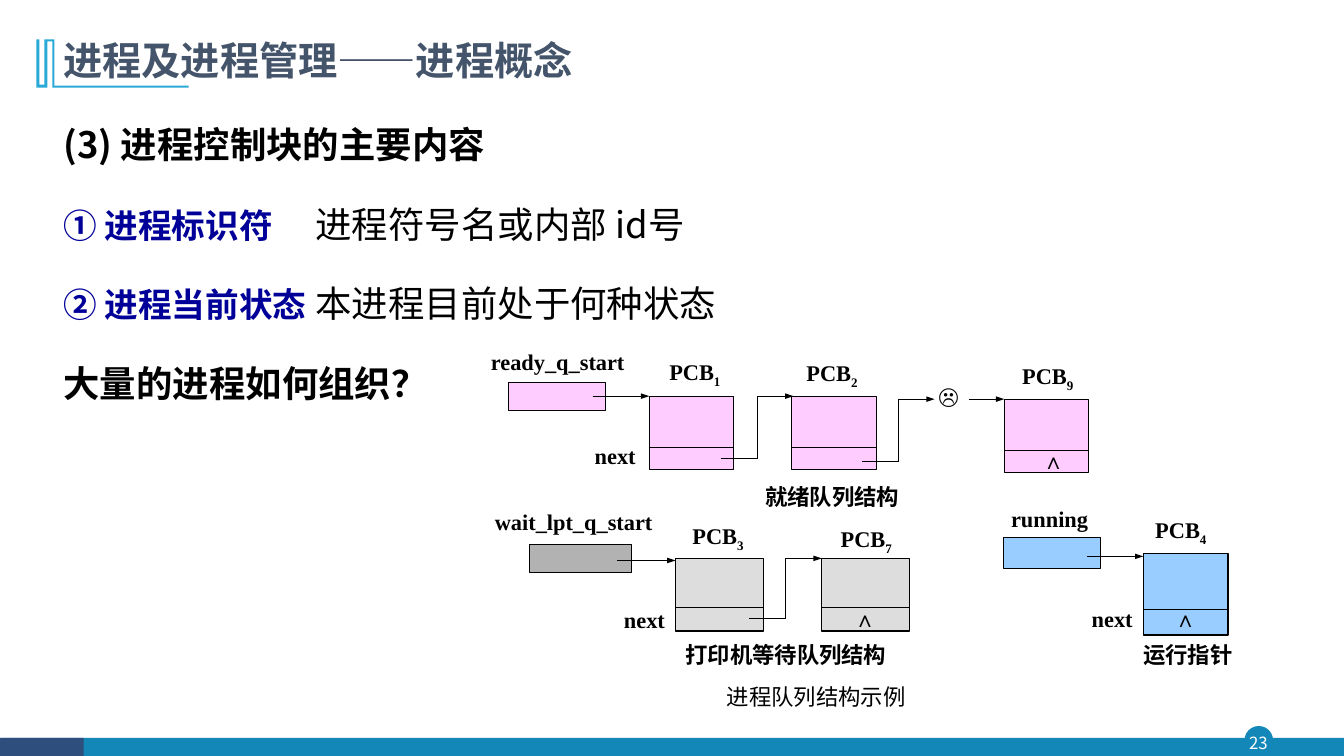
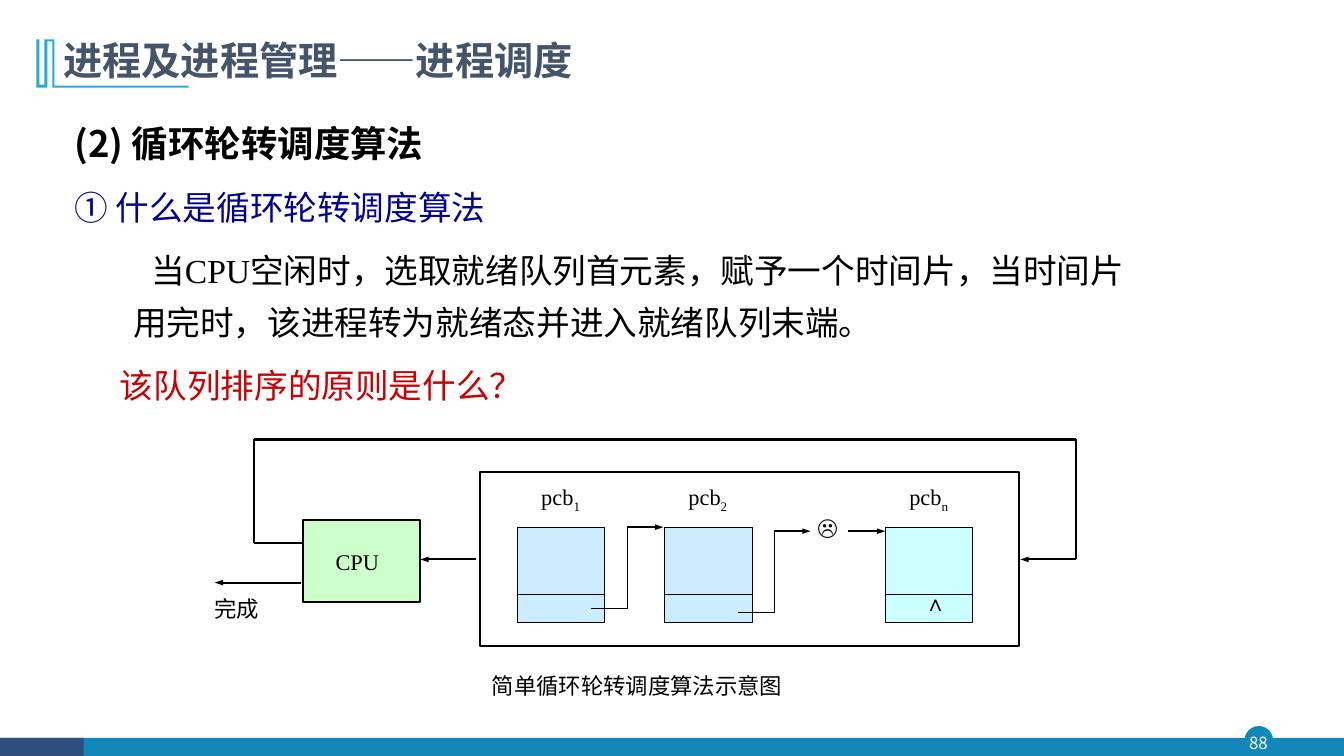
import lxml.etree
import pptx
import pptx.dml.color
import pptx.enum.shapes
import pptx.enum.text
import pptx.oxml.ns
import pptx.util

Inches = pptx.util.Inches
Pt = pptx.util.Pt
qn = pptx.oxml.ns.qn
RECT = pptx.enum.shapes.MSO_SHAPE.RECTANGLE
OVAL = pptx.enum.shapes.MSO_SHAPE.OVAL
STRAIGHT = pptx.enum.shapes.MSO_CONNECTOR.STRAIGHT
ALIGN = pptx.enum.text.PP_ALIGN
MIDDLE = pptx.enum.text.MSO_ANCHOR.MIDDLE
TOP = pptx.enum.text.MSO_ANCHOR.TOP
NO_FIT = pptx.enum.text.MSO_AUTO_SIZE.NONE

SANS = "Noto Sans CJK SC"
SERIF = "Times New Roman"
COLORS = {
    "black": "000000", "white": "FFFFFF", "title": "44546A",
    "band": "1387B7", "band_dark": "2E4E7E", "bracket": "28A9D6",
    "topic": "000099", "question": "CC0000",
    "ready": "FFCCFF", "wait_start": "B2B2B2", "wait": "DDDDDD",
    "running": "99CCFF", "cpu": "CCFFCC", "cell": "CCECFF", "last_cell": "CCFFFF",
}
BRACKET = [(0.54, 0.39), (0.54, 0.85), (1.87, 0.85), (1.87, 0.87), (0.52, 0.87),
           (0.52, 0.41), (0.47, 0.41), (0.47, 0.87), (0.36, 0.87), (0.36, 0.39),
           (0.39, 0.39), (0.39, 0.84), (0.44, 0.84), (0.44, 0.39)]


def rgb(name):
    return pptx.dml.color.RGBColor.from_string(COLORS[name])


# Text
def write(paragraph, text, size=16, font=SERIF, color="black", bold=False, sub=False):
    run = paragraph.add_run()
    run.text = text
    run.font.size = Pt(size)
    run.font.bold = bold
    run.font.color.rgb = rgb(color)
    run.font.name = font
    properties = run._r.get_or_add_rPr()
    lxml.etree.SubElement(properties, qn("a:ea")).set("typeface", SANS)
    if sub:
        properties.set("baseline", "-25000")


def label(slide, left, top, text, width=1.0, height=0.37, sub=None, **style):
    frame = slide.shapes.add_textbox(
        Inches(left), Inches(top), Inches(width), Inches(height)).text_frame
    frame.word_wrap = True
    frame.margin_right = 0
    frame.vertical_anchor = MIDDLE
    write(frame.paragraphs[0], text, **style)
    if sub:
        write(frame.paragraphs[0], sub, sub=True, **style)
    return frame


def body_paragraph(frame, runs, spacing, before, indent=(0, 0), tab=None,
                   align=ALIGN.LEFT):
    """Add one line of body text; runs are (text, format) pairs."""
    first = not frame.paragraphs[0].runs
    paragraph = frame.paragraphs[0] if first else frame.add_paragraph()
    properties = paragraph._p.get_or_add_pPr()
    properties.set("marL", str(Inches(indent[0])))
    properties.set("indent", str(Inches(indent[1])))
    lxml.etree.SubElement(properties, qn("a:buNone"))
    if tab:
        tabs = lxml.etree.SubElement(properties, qn("a:tabLst"))
        lxml.etree.SubElement(tabs, qn("a:tab"), pos=str(Inches(tab)), algn="l")
    paragraph.alignment = align
    paragraph.line_spacing = Pt(spacing)
    paragraph.space_before = Pt(0 if first else before)
    for text, style in runs:
        write(paragraph, text, **style)


def place(placeholder, left, top, width, height, anchor):
    placeholder.left, placeholder.top = Inches(left), Inches(top)
    placeholder.width, placeholder.height = Inches(width), Inches(height)
    frame = placeholder.text_frame
    frame.word_wrap = True
    frame.auto_size = NO_FIT
    frame.vertical_anchor = anchor
    return frame


# Shapes and lines
def block(slide, left, top, width, height, fill=None, line="black", weight=0.75,
          kind=RECT):
    shape = slide.shapes.add_shape(
        kind, Inches(left), Inches(top), Inches(width), Inches(height))
    shape.shadow.inherit = False
    if fill:
        shape.fill.solid()
        shape.fill.fore_color.rgb = rgb(fill)
    else:
        shape.fill.background()
    if line:
        shape.line.color.rgb = rgb(line)
        shape.line.width = Pt(weight)
    else:
        shape.line.fill.background()


def stroke(slide, x1, y1, x2, y2, weight=0.75, arrow=False):
    connector = slide.shapes.add_connector(
        STRAIGHT, Inches(x1), Inches(y1), Inches(x2), Inches(y2))
    connector.line.color.rgb = rgb("black")
    connector.line.width = Pt(weight)
    properties = connector.element.spPr
    if arrow:
        lxml.etree.SubElement(properties.find(qn("a:ln")), qn("a:tailEnd"),
                              type="triangle", w="sm", len="med")
    lxml.etree.SubElement(properties, qn("a:effectLst"))


def next_link(slide, left, bottom, top, step=0.36, weight=0.75):
    """Step right, up and right again, ending in an arrow."""
    middle = left + step
    stroke(slide, left, bottom, middle, bottom)
    stroke(slide, middle, bottom, middle, top)
    stroke(slide, middle, top, middle + step, top, weight, arrow=True)


def control_block(slide, left, top, width, height, split, fill, name, number,
                  name_at=(0.08, -0.4), end_at=None, bold=True):
    """Draw a control block; offsets count from its top left corner."""
    block(slide, left, top, width, height, fill)
    stroke(slide, left, top + split, left + width, top + split)
    label(slide, left + name_at[0], top + name_at[1], name, sub=number, bold=bold)
    if end_at:
        label(slide, left + end_at[0], top + end_at[1], "∧", width=0.5, bold=bold)


# Parts shared by the slides
def base_slide(deck, title, page):
    slide = deck.slides.add_slide(deck.slide_layouts[1])
    block(slide, 12.35, 7.21, 0.27, 0.27, "band", "band", 1, OVAL)
    block(slide, 0.01, 7.32, 13.32, 0.19, "band", None)
    block(slide, 0, 7.32, 0.83, 0.19, "band_dark", None)
    number = label(slide, 12.32, 7.21, page, 0.32, 0.31, size=12, font=SANS,
                   color="white")
    number.margin_left = number.margin_top = number.margin_bottom = 0
    number.paragraphs[0].alignment = ALIGN.CENTER

    points = [(Inches(x), Inches(y)) for x, y in BRACKET]
    outline = slide.shapes.build_freeform(*points[0])
    outline.add_line_segments(points[1:], close=True)
    bracket = outline.convert_to_shape()
    bracket.shadow.inherit = False
    bracket.fill.solid()
    bracket.fill.fore_color.rgb = rgb("bracket")
    bracket.line.fill.background()

    heading = place(slide.shapes.title, 0.53, 0.34, 10.49, 0.56, MIDDLE).paragraphs[0]
    heading.alignment = ALIGN.LEFT
    heading.line_spacing = 0.9
    write(heading, title, size=28, font=SANS, color="title", bold=True)
    return slide


# Queues of the first slide
def ready_queue(slide, left, top):
    cell = {"width": 0.84, "height": 0.73, "split": 0.51, "fill": "ready", "name": "PCB"}
    first, second, last = left + 1.67, left + 3.08, left + 5.19
    row = top + 0.53
    label(slide, left, top, "ready_q_start", 1.55, bold=True)
    block(slide, left + 0.27, top + 0.39, 0.97, 0.28, "ready")
    stroke(slide, left + 1.11, row, first, row, arrow=True)
    control_block(slide, first, row, number="1", name_at=(0.1, -0.41), **cell)
    control_block(slide, second, row, number="2", name_at=(0.05, -0.4), **cell)
    control_block(slide, last, row + 0.03, number="9", end_at=(0.28, 0.42), **cell)
    next_link(slide, first + 0.71, row + 0.62, row)
    next_link(slide, second + 0.7, row + 0.65, row + 0.03)
    label(slide, left + 4.44, top + 0.34, "☹", 0.5)
    stroke(slide, last - 0.35, row + 0.03, last, row + 0.03, arrow=True)
    label(slide, left + 1.03, top + 0.93, "next", bold=True)
    label(slide, left + 2.72, top + 1.34, "就绪队列结构", 1.97, bold=True)


def printer_queue(slide, left, top):
    cell = {"width": 0.87, "height": 0.72, "split": 0.49, "fill": "wait", "name": "PCB"}
    first, last, row = left + 1.89, left + 3.34, top + 0.55
    label(slide, left, top, "wait_lpt_q_start", 1.89, bold=True)
    block(slide, left + 0.44, top + 0.41, 1.01, 0.28, "wait_start")
    stroke(slide, left + 1.31, row + 0.02, first, row + 0.02, arrow=True)
    control_block(slide, first, row, number="3", name_at=(0.07, -0.39), **cell)
    control_block(slide, last, row, number="7", name_at=(0.09, -0.36),
                  end_at=(0.22, 0.41), **cell)
    next_link(slide, first + 0.73, row + 0.6, row)
    label(slide, left + 1.28, top + 0.97, "next", bold=True)
    label(slide, left + 1.89, top + 1.32, "打印机等待队列结构", 2.47, bold=True)


def running_pointer(slide, left, top):
    target, row = left + 1.41, top + 0.53
    label(slide, left, top, "running", 1.11, bold=True)
    block(slide, left + 0.02, top + 0.37, 0.97, 0.31, "running")
    stroke(slide, left + 0.85, row + 0.03, target, row + 0.03, arrow=True)
    control_block(slide, target, row, 0.84, 0.81, 0.56, "running", "PCB", "4",
                  name_at=(0.02, -0.4), end_at=(0.21, 0.46))
    label(slide, left + 0.8, top + 0.99, "next", bold=True)
    label(slide, left + 1.31, top + 1.35, "运行指针", 1.24, bold=True)


# Scheduling diagram of the second slide
def round_robin(slide, left, top):
    """Draw the loop around the processor and the queue."""
    right, cpu, queue = left + 8.64, left + 0.98, left + 2.73
    loop_left, entry = left + 0.49, top + 1.19

    # Queue and its control blocks
    block(slide, queue, top + 0.32, 5.35, 1.73, weight=1.5)
    row = top + 0.87
    cells = [(0.37, "1", "cell", None), (1.83, "2", "cell", None),
             (4.02, "n", "last_cell", (0.29, 0.56))]
    for offset, number, fill, end_at in cells:
        control_block(slide, queue + offset, row, 0.87, 0.95, 0.67, fill, "pcb",
                      number, name_at=(0.14, -0.47), end_at=end_at, bold=False)
    next_link(slide, queue + 1.1, row + 0.81, row, weight=1.5)
    next_link(slide, queue + 2.56, row + 0.85, row + 0.04, weight=1.5)
    label(slide, queue + 3.25, top + 0.68, "☹", 0.5)
    stroke(slide, queue + 3.65, row + 0.04, queue + 4.02, row + 0.04, 1.5, arrow=True)

    # Processor, its exit and the way back
    block(slide, cpu, top + 0.8, 1.16, 0.81, "cpu", weight=1.5)
    label(slide, cpu + 0.22, top + 1.03, "CPU")
    stroke(slide, queue - 0.04, entry, cpu + 1.16, entry, 1.5, arrow=True)
    stroke(slide, cpu, top + 1.03, loop_left, top + 1.03, 1.5)
    stroke(slide, loop_left, top + 1.03, loop_left, top, 1.5)
    stroke(slide, loop_left, top, right, top, 1.5)
    stroke(slide, right, top, right, entry, 1.5)
    stroke(slide, right, entry, queue + 5.36, entry, 1.5, arrow=True)
    stroke(slide, cpu - 0.02, top + 1.42, left + 0.1, top + 1.42, 1.5, arrow=True)
    label(slide, left, top + 1.49, "完成")


# Slides
def control_block_slide(deck):
    slide = base_slide(deck, "进程及进程管理——进程概念", "23")
    body = place(slide.placeholders[1], 0.53, 0.94, 11.81, 3.24, TOP)
    strong = {"size": 26, "font": SANS, "bold": True}
    plain = {"size": 26, "font": SANS}
    topic = {"size": 24, "color": "topic", "bold": True}
    lines = [
        [("(3) 进程控制块的主要内容", strong)],
        [("① 进程标识符", topic), ("\t进程符号名或内部 id号", plain)],
        [("② 进程当前状态", topic), ("\t本进程目前处于何种状态", plain)],
        [("大量的进程如何组织？", strong)],
    ]
    for runs in lines:
        body_paragraph(body, runs, 47, 10, tab=2.74 if len(runs) > 1 else None)
    ready_queue(slide, 4.77, 3.4)
    printer_queue(slide, 4.81, 4.99)
    running_pointer(slide, 9.93, 4.96)
    label(slide, 7.11, 6.7, "进程队列结构示例", 2.81, 0.42)


def scheduling_slide(deck):
    slide = base_slide(deck, "进程及进程管理——进程调度", "88")
    body = place(slide.placeholders[1], 0.64, 1.07, 10.7, 3.0, TOP)
    lines = [
        ("(2) 循环轮转调度算法", (0, 0), {"size": 26, "font": SANS, "bold": True}),
        ("① 什么是循环轮转调度算法", (0.58, -0.58), {"size": 24, "color": "topic"}),
        ("当CPU空闲时，选取就绪队列首元素，赋予一个时间片，当时间片用完时，"
         "该进程转为就绪态并进入就绪队列末端。", (0.58, 0.18), {"size": 24}),
        ("该队列排序的原则是什么？", (0.45, 0), {"size": 24, "color": "question"}),
    ]
    for text, indent, style in lines:
        body_paragraph(body, [(text, style)], 37, 8, indent)
    round_robin(slide, 2.03, 4.36)
    label(slide, 4.78, 6.59, "简单循环轮转调度算法示意图", 3.45, 0.42)


def main():
    deck = pptx.Presentation()
    deck.slide_width, deck.slide_height = Inches(13.33), Inches(7.5)
    control_block_slide(deck)
    scheduling_slide(deck)
    deck.save("out.pptx")


if __name__ == "__main__":
    main()
